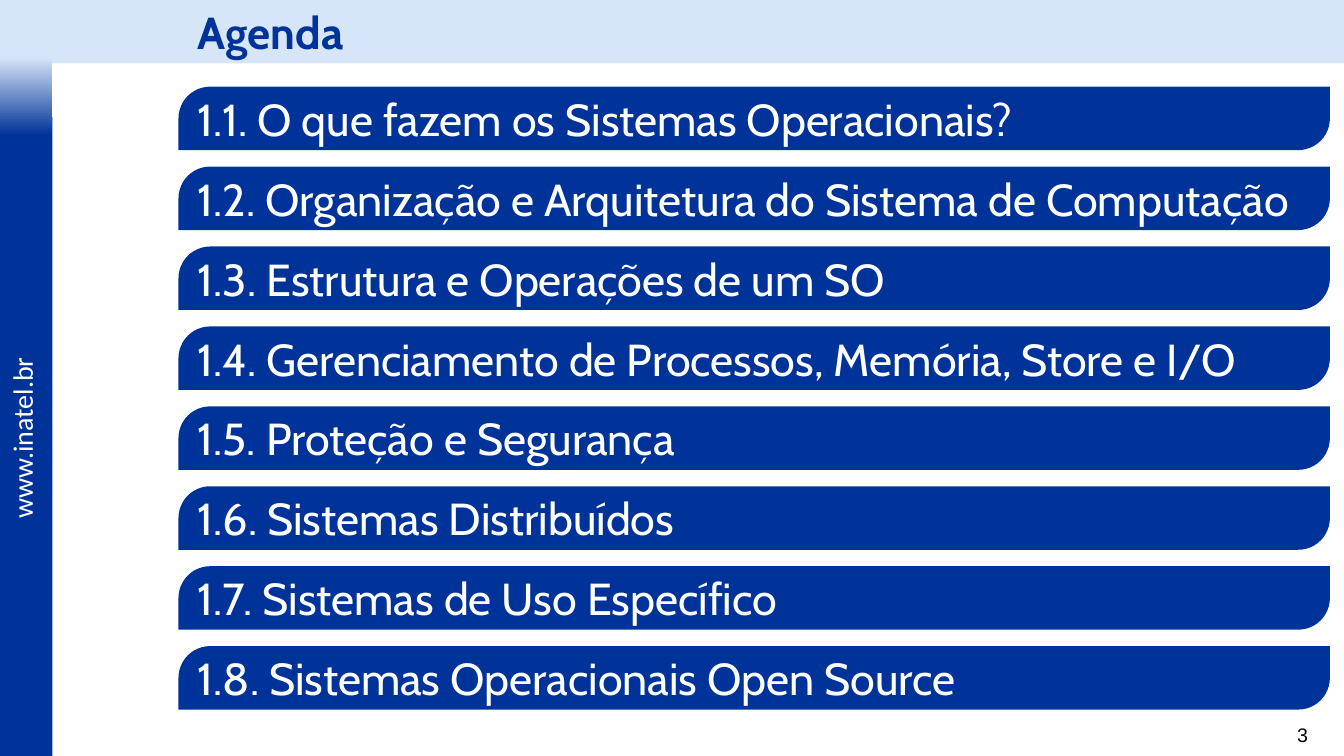
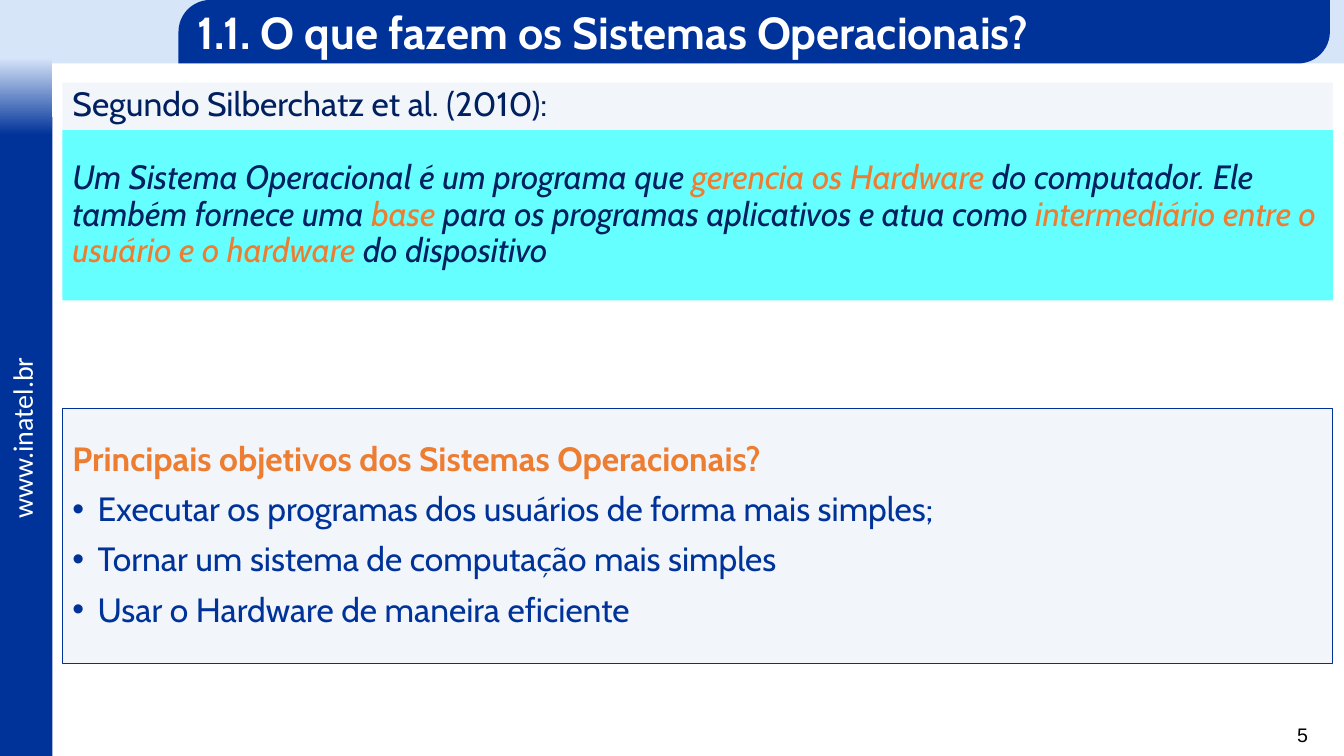
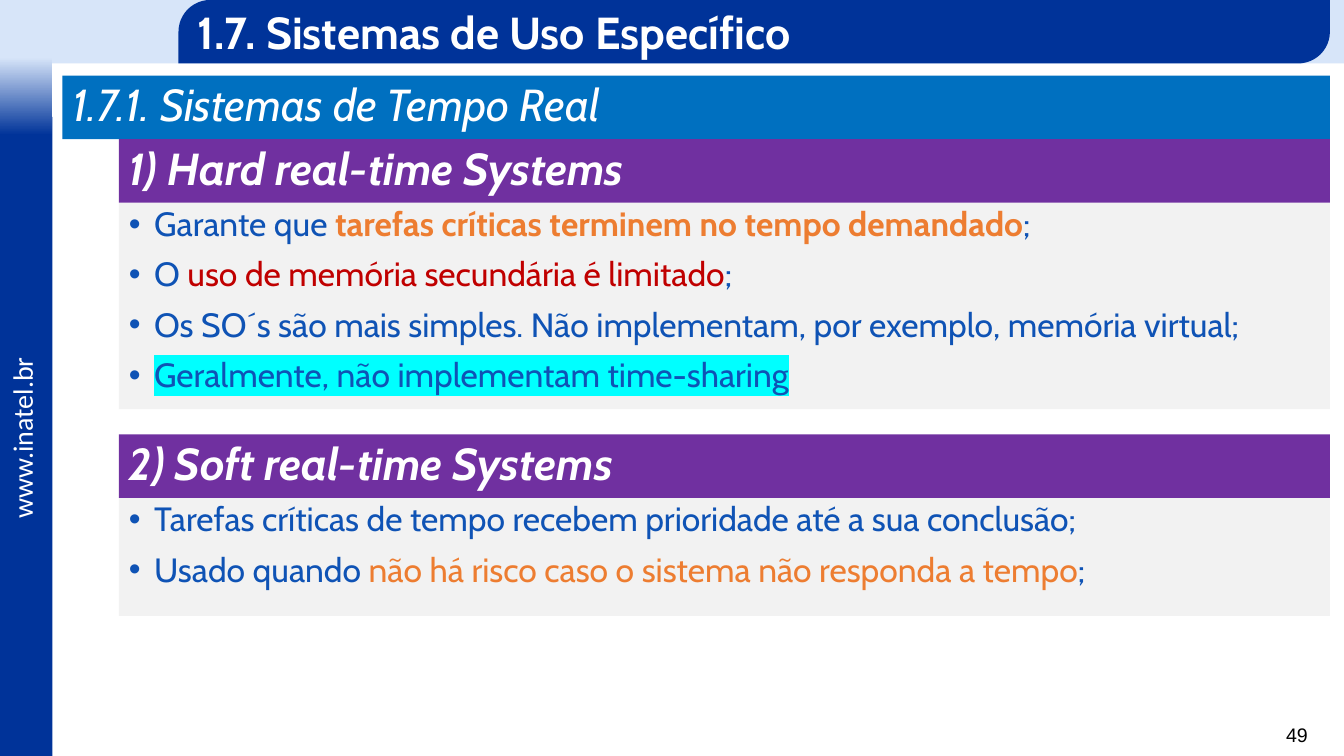
from lxml.etree import SubElement
from pptx import Presentation
from pptx.dml.color import RGBColor
from pptx.enum.shapes import MSO_SHAPE
from pptx.enum.text import MSO_ANCHOR, PP_ALIGN
from pptx.oxml.ns import qn
from pptx.util import Inches, Pt

WIDTH, HEIGHT = 13.33, 7.5
BAND = 0.63
SIDEBAR = 0.52
TITLE_LEFT, PANEL_LEFT, TOPIC_LEFT = 1.77, 0.62, 1.18
RIGHT = 13.19
PANEL_WIDTH = 12.6
AGENDA_TOP, AGENDA_LAST = 0.86, 6.41

NAVY, BLUE, PALE, WHITE = "003399", "0F53B5", "D7E5F9", "FFFFFF"
INK, ORANGE, RED = "002060", "ED7D31", "C00000"
SKY, PURPLE, GREY, AQUA, CYAN = "0070C0", "7030A0", "F2F2F2", "66FFFF", "00FFFF"

AGENDA = [
    "1.1. O que fazem os Sistemas Operacionais?",
    "1.2. Organização e Arquitetura do Sistema de Computação",
    "1.3. Estrutura e Operações de um SO",
    "1.4. Gerenciamento de Processos, Memória, Store e I/O",
    "1.5. Proteção e Segurança",
    "1.6. Sistemas Distribuídos",
    "1.7. Sistemas de Uso Específico",
    "1.8. Sistemas Operacionais Open Source",
]
SOURCE = "Segundo Silberchatz et al. (2010):"
DEFINITION = [
    "Um Sistema Operacional é um programa que ",
    ("gerencia os Hardware", {"color": ORANGE}),
    " do computador. Ele também fornece uma ",
    ("base", {"color": ORANGE}),
    " para os programas aplicativos e atua como ",
    ("intermediário entre o usuário e o hardware", {"color": ORANGE}),
    " do dispositivo",
]
GOALS_HEADING = ("Principais objetivos dos Sistemas Operacionais?", {"color": ORANGE, "bold": True})
GOALS = [
    "Executar os programas dos usuários de forma mais simples;",
    "Tornar um sistema de computação mais simples",
    "Usar o Hardware de maneira eficiente",
]
REAL_TIME = "1.7.1. Sistemas de Tempo Real"
TOPICS = [
    ("1) Hard real-time Systems", 1.38, 2.05, [
        ["Garante que ",
         ("tarefas críticas terminem no tempo demandado", {"color": ORANGE, "bold": True}), ";"],
        ["O ", ("uso de memória secundária é limitado", {"color": RED}), ";"],
        ["Os SO´s são mais simples. Não implementam, por exemplo, memória virtual;"],
        [("Geralmente, não implementam time-sharing", {"highlight": CYAN})],
    ]),
    ("2) Soft real-time Systems", 4.31, 1.17, [
        ["Tarefas críticas de tempo recebem prioridade até a sua conclusão;"],
        ["Usado quando ",
         ("não há risco caso o sistema não responda a tempo", {"color": ORANGE}), ";"],
    ]),
]


def rgb(value):
    return RGBColor.from_string(value)


def add_box(slide, left, top, width, height, fill=None, kind=MSO_SHAPE.RECTANGLE, alpha=None, line=None):
    shape = slide.shapes.add_shape(kind, Inches(left), Inches(top), Inches(width), Inches(height))
    shape.shadow.inherit = False
    if fill:
        shape.fill.solid()
        shape.fill.fore_color.rgb = rgb(fill)
    else:
        shape.fill.background()
    if alpha:
        color = shape.fill._xPr.find(qn("a:solidFill"))[0]
        SubElement(color, qn("a:alpha")).set("val", str(alpha * 1000))
    if line:
        shape.line.color.rgb = rgb(line)
        shape.line.width = Pt(0.75)
    else:
        shape.line.fill.background()
    return shape


def add_run(paragraph, text, size, color, font="Cabin", bold=False, italic=False, highlight=None):
    run = paragraph.add_run()
    run.text = text
    run.font.size = Pt(size)
    run.font.bold = bold
    run.font.italic = italic
    run.font.color.rgb = rgb(color)
    if highlight:
        properties = run.font._element
        mark = SubElement(properties, qn("a:highlight"))
        SubElement(mark, qn("a:srgbClr")).set("val", highlight)
    run.font.name = font


def add_bullet(paragraph):
    properties = paragraph._p.get_or_add_pPr()
    properties.set("marL", str(Inches(0.25)))
    properties.set("indent", str(-Inches(0.25)))
    SubElement(properties, qn("a:buFont")).set("typeface", "Arial")
    SubElement(properties, qn("a:buChar")).set("char", "•")


def write(shape, paragraphs, size, color, bullets_from=None, anchor=MSO_ANCHOR.MIDDLE,
          spacing=0.9, align=PP_ALIGN.LEFT, wrap=True, **style):
    frame = shape.text_frame
    frame.word_wrap = wrap
    frame.vertical_anchor = anchor
    for index, parts in enumerate(paragraphs):
        paragraph = frame.add_paragraph() if index else frame.paragraphs[0]
        if bullets_from is not None and index >= bullets_from:
            add_bullet(paragraph)
        paragraph.alignment = align
        paragraph.line_spacing = spacing
        if index:
            paragraph.space_before = Pt(10)
        for part in parts:
            text, changes = (part, {}) if isinstance(part, str) else part
            add_run(paragraph, text, **{"size": size, "color": color, **style, **changes})


def add_tab(slide, text, top, fill=NAVY, color=WHITE, bold=False):
    tab = add_box(slide, TITLE_LEFT, top, RIGHT - TITLE_LEFT, BAND, fill, MSO_SHAPE.ROUND_2_DIAG_RECTANGLE)
    tab.adjustments[0] = 0.5
    tab.adjustments[1] = 0
    write(tab, [[text]], 32, color, spacing=1.0, bold=bold)


def add_label(slide, text, left, top, width, height, size, color, font, align=PP_ALIGN.LEFT):
    label = slide.shapes.add_textbox(Inches(left), Inches(top), Inches(width), Inches(height))
    write(label, [[text]], size, color, anchor=MSO_ANCHOR.TOP, spacing=1.0, align=align, font=font)
    return label


def add_page(presentation, number, title, **title_style):
    slide = presentation.slides.add_slide(presentation.slide_layouts[6])
    add_box(slide, 0, 0, WIDTH, BAND, PALE)
    add_box(slide, 0, 1.16, SIDEBAR, HEIGHT - 1.16, NAVY)
    fade = add_box(slide, 0, 0.57, SIDEBAR, 0.77)
    fade.fill.gradient()
    fade.fill.gradient_angle = 270
    for stop, color, position in zip(fade.fill.gradient_stops, (PALE, NAVY), (0, 1)):
        stop.color.rgb = rgb(color)
        stop.position = position
    address = add_label(slide, "www.inatel.br", -0.72, 4.09, 1.87, 0.43, 20, WHITE, "Calibri")
    address.rotation = 270
    add_label(slide, str(number), 12.42, 7.12, 0.65, 0.34, 14, "000000", "Arial", PP_ALIGN.RIGHT)
    add_tab(slide, title, 0, bold=True, **title_style)
    return slide


def build_agenda(presentation):
    slide = add_page(presentation, 3, "Agenda", fill=None, color=NAVY)
    pitch = (AGENDA_LAST - AGENDA_TOP) / (len(AGENDA) - 1)
    for index, item in enumerate(AGENDA):
        add_tab(slide, item, AGENDA_TOP + index * pitch)


def build_definition(presentation):
    slide = add_page(presentation, 5, AGENDA[0])
    goals = add_box(slide, PANEL_LEFT, 4.05, PANEL_WIDTH, 2.53, BLUE, alpha=5, line=NAVY)
    write(goals, [[GOALS_HEADING]] + [[goal] for goal in GOALS], 24, NAVY, bullets_from=1)
    source = add_box(slide, PANEL_LEFT, 0.82, PANEL_WIDTH, 0.47, BLUE, alpha=5)
    write(source, [[SOURCE]], 24, INK, anchor=MSO_ANCHOR.TOP)
    definition = add_box(slide, PANEL_LEFT, 1.29, PANEL_WIDTH, 1.69, AQUA)
    write(definition, [DEFINITION], 24, INK, italic=True)


def build_real_time(presentation):
    slide = add_page(presentation, 49, AGENDA[6])
    section = add_box(slide, PANEL_LEFT, 0.75, RIGHT - PANEL_LEFT, BAND, SKY)
    write(section, [[REAL_TIME]], 32, WHITE, italic=True)
    for heading, top, body_height, points in TOPICS:
        body = add_box(slide, TOPIC_LEFT, top + BAND, RIGHT - TOPIC_LEFT, body_height, GREY)
        write(body, points, 24, BLUE, bullets_from=0, anchor=MSO_ANCHOR.TOP)
        header = add_box(slide, TOPIC_LEFT, top, RIGHT - TOPIC_LEFT, BAND, PURPLE)
        write(header, [[heading]], 32, WHITE, bold=True, italic=True)


def main():
    presentation = Presentation()
    presentation.slide_width = Inches(WIDTH)
    presentation.slide_height = Inches(HEIGHT)
    build_agenda(presentation)
    build_definition(presentation)
    build_real_time(presentation)
    presentation.save("out.pptx")


if __name__ == "__main__":
    main()
